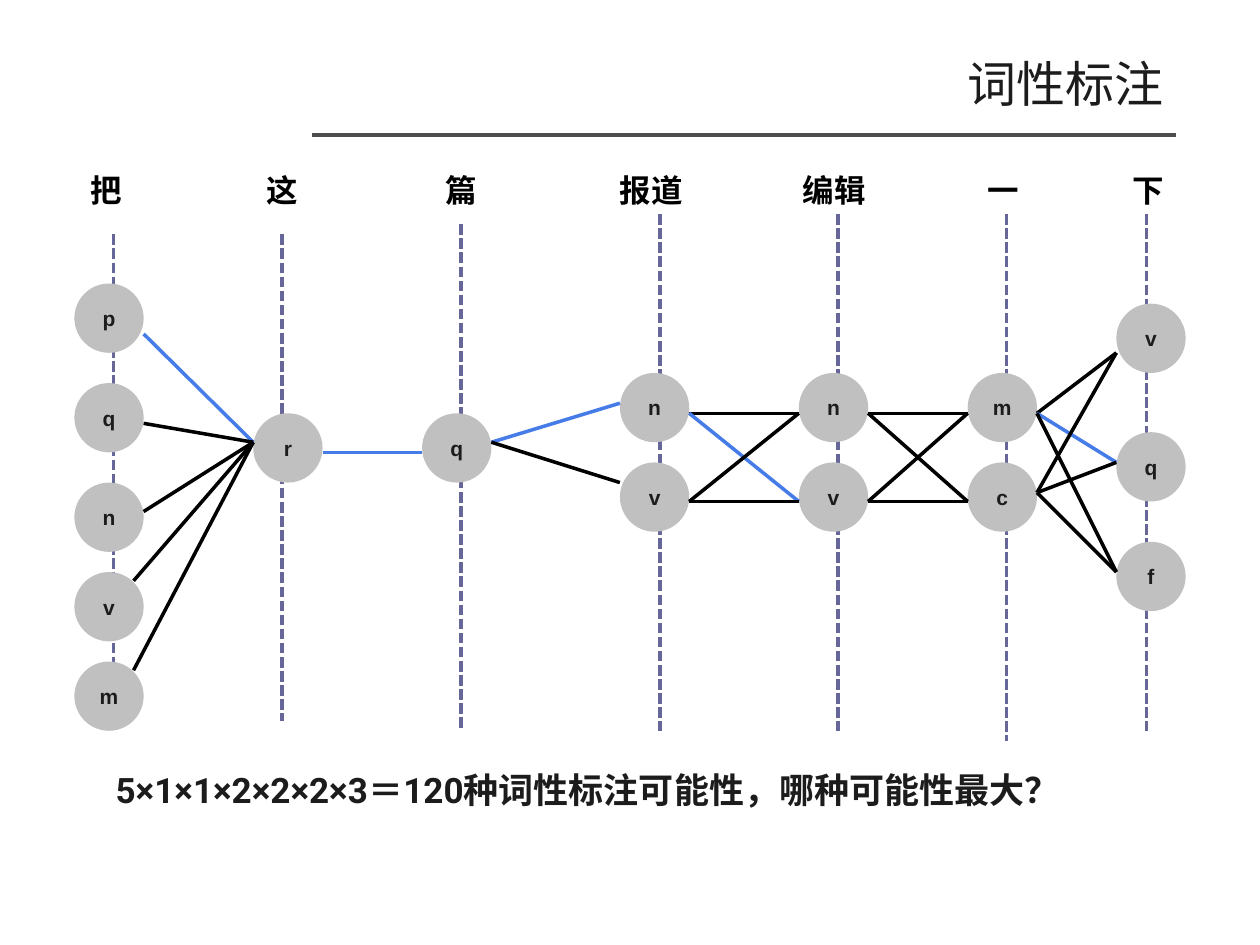
import dataclasses
import itertools

import pptx
import pptx.dml.color
import pptx.enum.dml
import pptx.enum.shapes
import pptx.enum.text
import pptx.oxml.ns
import pptx.util
from lxml import etree

ALIGN = pptx.enum.text.PP_ALIGN
ANCHOR = pptx.enum.text.MSO_ANCHOR


@dataclasses.dataclass(frozen=True)
class Theme:
    ink: str = "1C1C1C"
    word: str = "000000"
    node: str = "C0C0C0"
    rule: str = "4D4D4D"
    guide: str = "666699"
    edge: str = "000000"
    best: str = "467CE8"
    title_font: str = "Roboto"
    label_font: str = "Arial"
    title_size: int = 28
    body_size: int = 20
    word_size: int = 18
    node_size: int = 12
    hairline: int = 0
    best_width: int = 2


@dataclasses.dataclass(frozen=True)
class Column:
    word: str
    word_center: float
    node_left: float
    guide: tuple  # x, top, bottom
    tags: dict  # tag -> top of its node


@dataclasses.dataclass(frozen=True)
class Stage:
    exits: tuple  # heights where edges leave the left column
    entries: tuple  # heights where edges reach the right column
    best: tuple = None  # (exit, entry) indices on the chosen path
    insets: tuple = (0, 0)  # how far each exit lies inside the node


class Canvas:
    """Style plus the current page, measured on a 10 x 7.5 grid."""

    columns, rows = 10, 7.5
    diameter = 0.55

    def __init__(self, deck, theme):
        self.theme = theme
        self.cell_width = deck.slide_width / self.columns
        self.cell_height = deck.slide_height / self.rows
        self.page = deck.slides.add_slide(deck.slide_layouts[5])

    def across(self, columns):
        return round(columns * self.cell_width)

    def down(self, rows):
        return round(rows * self.cell_height)

    def area(self, left, top, width, height):
        return self.across(left), self.down(top), self.across(width), self.down(height)

    def set_text(self, box, text, font, size, color, bold=True,
                 align=ALIGN.CENTER, anchor=ANCHOR.TOP, wrap=False, side=0.1):
        frame = box.text_frame
        frame.word_wrap = wrap
        frame.auto_size = pptx.enum.text.MSO_AUTO_SIZE.NONE
        frame.vertical_anchor = anchor
        frame.margin_left = frame.margin_right = self.across(side)
        frame.margin_top = frame.margin_bottom = self.down(0.05)
        para = frame.paragraphs[0]
        para.text = text
        para.alignment = align
        para.font.name = font
        para.font.size = pptx.util.Pt(size)
        para.font.bold = bold
        para.font.color.rgb = pptx.dml.color.RGBColor.from_string(color)
        return para

    def title(self, text, *place):
        box = self.page.shapes.title
        box.left, box.top, box.width, box.height = self.area(*place)
        self.set_text(box, text, self.theme.title_font, self.theme.title_size,
                      self.theme.ink, bold=False, align=ALIGN.RIGHT,
                      anchor=ANCHOR.MIDDLE, wrap=True)

    def statement(self, text, *place):
        box = self.page.shapes.add_textbox(*self.area(*place))
        para = self.set_text(box, text, self.theme.title_font, self.theme.body_size,
                             self.theme.ink, align=ALIGN.LEFT, wrap=True)
        para.line_spacing = 1.5
        properties = para._p.get_or_add_pPr()
        properties.set("marL", str(self.across(0.38)))
        properties.set("indent", str(self.across(0.01)))

    def word(self, text, center, top):
        width = 0.2 + 0.25 * len(text)
        box = self.page.shapes.add_textbox(*self.area(center - width / 2, top, width, 0.4))
        self.set_text(box, text, self.theme.label_font, self.theme.word_size, self.theme.word)

    def node(self, tag, left, top):
        oval = self.page.shapes.add_shape(
            pptx.enum.shapes.MSO_SHAPE.OVAL,
            *self.area(left, top, self.diameter, self.diameter))
        oval.shadow.inherit = False
        oval.fill.solid()
        oval.fill.fore_color.rgb = pptx.dml.color.RGBColor.from_string(self.theme.node)
        oval.line.fill.background()
        self.set_text(oval, tag, self.theme.label_font, self.theme.node_size,
                      self.theme.ink, anchor=ANCHOR.MIDDLE, side=0.02)

    def line(self, start, end, color, width, dashed=False):
        link = self.page.shapes.add_connector(
            pptx.enum.shapes.MSO_CONNECTOR.STRAIGHT,
            self.across(start[0]), self.down(start[1]),
            self.across(end[0]), self.down(end[1]))
        link.line.color.rgb = pptx.dml.color.RGBColor.from_string(color)
        link.line.width = pptx.util.Pt(width)
        if dashed:
            link.line.dash_style = pptx.enum.dml.MSO_LINE.SQUARE_DOT
        etree.SubElement(link._element.spPr, pptx.oxml.ns.qn("a:effectLst"))

    def stage(self, stage, left, right):
        for (i, leave), (j, reach) in itertools.product(
                enumerate(stage.exits), enumerate(stage.entries)):
            chosen = (i, j) == stage.best
            self.line((left.node_left + self.diameter - stage.insets[i], leave),
                      (right.node_left, reach),
                      self.theme.best if chosen else self.theme.edge,
                      self.theme.best_width if chosen else self.theme.hairline)


# Words of the sentence with their candidate tags
COLUMNS = [
    Column("把", 0.84, 0.59, (0.9, 1.86, 5.25),
           {"p": 2.25, "q": 3.04, "n": 3.83, "v": 4.54, "m": 5.25}),
    Column("这", 2.24, 2.01, (2.24, 1.86, 5.72), {"r": 3.28}),
    Column("篇", 3.66, 3.35, (3.66, 1.78, 5.8), {"q": 3.28}),
    Column("报道", 5.17, 4.92, (5.24, 1.7, 5.8), {"n": 2.96, "v": 3.67}),
    Column("编辑", 6.62, 6.34, (6.65, 1.7, 5.8), {"n": 2.96, "v": 3.67}),
    Column("一", 7.96, 7.68, (7.99, 1.7, 5.88), {"m": 2.96, "c": 3.67}),
    Column("下", 9.11, 8.86, (9.1, 1.7, 5.8), {"v": 2.41, "q": 3.43, "f": 4.3}),
]

# Edges between neighbouring columns
PAIR = (3.28, 3.98)
STAGES = [
    Stage((2.65, 3.36, 4.06, 4.61, 5.32), (3.51,), (0, 0), (0, 0, 0, 0.08, 0.08)),
    Stage((3.59,), (3.59,), (0, 0)),
    Stage((3.51,), (3.2, 3.83), (0, 0)),
    Stage(PAIR, PAIR, (0, 1)),
    Stage(PAIR, PAIR),
    Stage((3.28, 3.91), (2.8, 3.67, 4.54), (0, 1)),
]


def main():
    deck = pptx.Presentation()
    deck.slide_width = pptx.util.Inches(10)
    deck.slide_height = pptx.util.Inches(7.5)
    theme = Theme()
    canvas = Canvas(deck, theme)

    # Title and rule
    canvas.title("词性标注", 0.69, 0.35, 8.64, 0.62)
    canvas.line((2.48, 1.07), (9.33, 1.07), theme.rule, theme.hairline)

    # Guides lie behind the nodes
    for column in COLUMNS:
        x, top, bottom = column.guide
        canvas.line((x, top), (x, bottom), theme.guide, theme.hairline, dashed=True)

    # Words and tag nodes
    for column in COLUMNS:
        canvas.word(column.word, column.word_center, 1.31)
        for tag, top in column.tags.items():
            canvas.node(tag, column.node_left, top)

    # Lattice edges
    for stage, (left, right) in zip(STAGES, itertools.pairwise(COLUMNS)):
        canvas.stage(stage, left, right)

    # Closing question
    canvas.statement("5×1×1×2×2×2×3＝120种词性标注可能性，哪种可能性最大？",
                     0.43, 5.88, 9, 1.6)

    deck.save("out.pptx")


if __name__ == "__main__":
    main()
